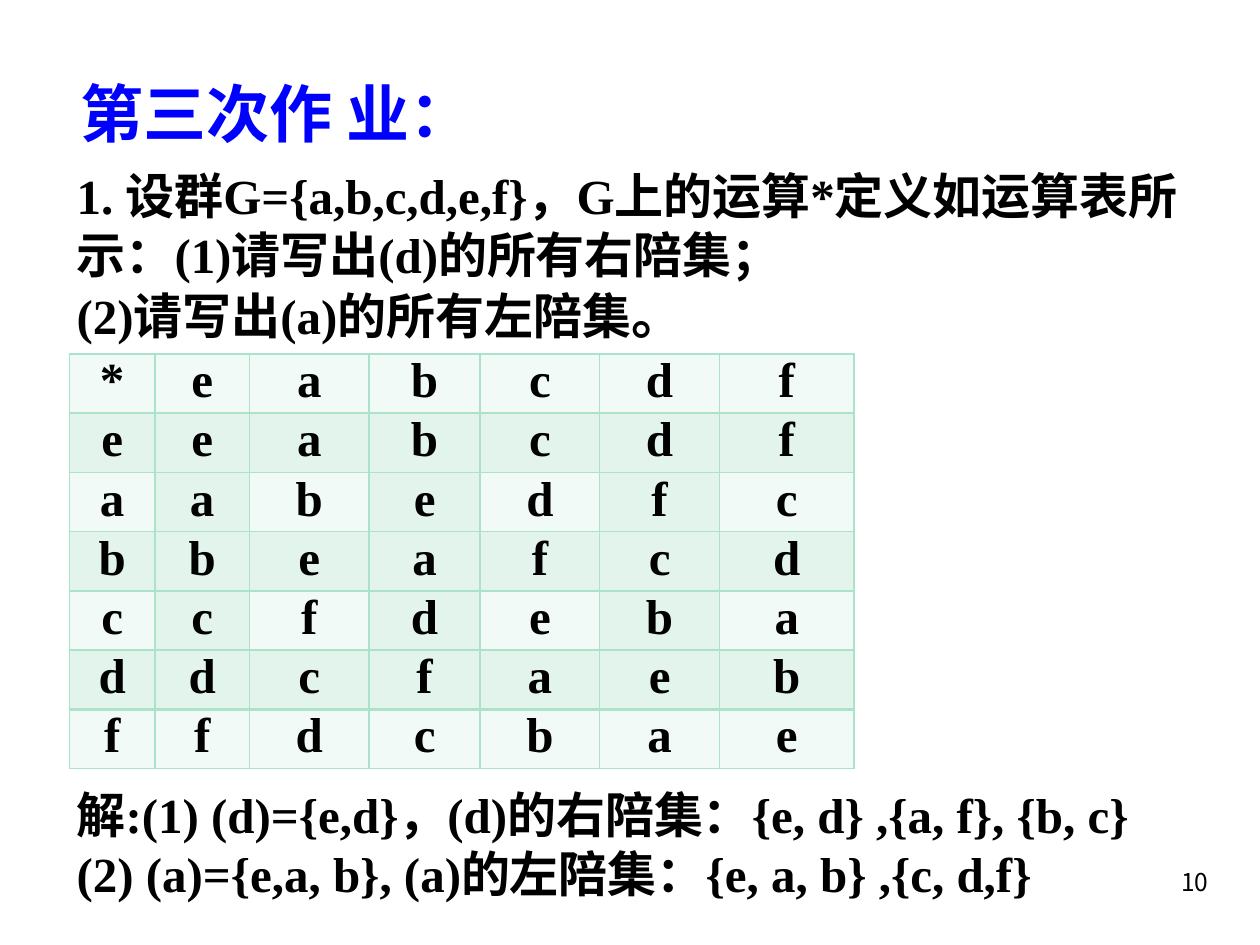
from pptx import Presentation, util as u
from pptx.dml.color import RGBColor
from pptx.enum import text as t
from pptx.oxml import parse_xml
from pptx.oxml.ns import nsdecls

COLORS = {"title": "0000FF", "ink": "000000", "line": "AAE2CA",
          "light": "F1FAF6", "dark": "E2F4EC"}
SERIF, HAN, NUM = "Times New Roman", "Noto Sans CJK SC", "Noto Sans CJK KR"

TITLE = "第三次作 业："
# Each paragraph: space before in points, then runs of (text, size, font)
BODY = [
    (0, [("1. 设群G={a,b,c,d,e,f}，G上的运算*定义如运算表所示："
          "(1)请写出(d)的所有右陪集；", 28, SERIF)]),
    (2, [("(2)请写出(a)的所有左陪集", 28, SERIF), ("。", 30, SERIF)]),
    (251, [("解", 28, HAN),
           (":(1) (d)={e,d}，(d)的右陪集：{e, d} ,{a, f}, {b, c}", 28, SERIF)]),
    (0, [("(2) (a)={e,a, b}, (a)的左陪集：{e, a, b} ,{c, d,f}", 28, SERIF)]),
]
ROWS = ["*eabcdf", "eeabcdf", "aabedfc", "bbeafcd",
        "ccfdeba", "ddcfaeb", "ffdcbae"]
WIDTHS = [0.68, 0.75, 0.95, 0.88, 0.95, 0.95, 1.07]
HIGH = 0.47


def add_run(para, words, size, font, color="ink", bold=True):
    run = para.add_run()
    run.text = words
    run.font.size, run.font.name, run.font.bold = u.Pt(size), font, bold
    run.font.color.rgb = RGBColor.from_string(COLORS[color])
    east = HAN if font == SERIF else font
    run.font._element.append(
        parse_xml(f'<a:ea {nsdecls("a")} typeface="{east}"/>'))


def add_box(slide, *place):
    frame = slide.shapes.add_textbox(*map(u.Inches, place)).text_frame
    frame.word_wrap = True
    return frame


def set_edges(cell, top):
    """Draw all four borders; the top one has its own width in points."""
    props = cell._tc.get_or_add_tcPr()
    for n, (side, wide) in enumerate(zip("LRTB", (1, 1, top, 1))):
        props.insert(n, parse_xml(
            f'<a:ln{side} {nsdecls("a")} w="{u.Pt(wide)}"><a:solidFill>'
            f'<a:srgbClr val="{COLORS["line"]}"/></a:solidFill></a:ln{side}>'))


def add_grid(slide):
    last = len(ROWS) - 1
    grid = slide.shapes.add_table(
        len(ROWS), len(WIDTHS), u.Inches(0.55), u.Inches(2.81),
        u.Inches(sum(WIDTHS)), u.Inches(HIGH * len(ROWS))).table
    grid.first_row = grid.horz_banding = False
    for col, wide in zip(grid.columns, WIDTHS):
        col.width = u.Inches(wide)
    for r, row in enumerate(ROWS):
        grid.rows[r].height = u.Inches(HIGH)
        for c, sign in enumerate(row):
            cell = grid.cell(r, c)
            cell.margin_left = cell.margin_right = u.Inches(0.07)
            cell.margin_top = cell.margin_bottom = 0
            dark = r % 2 or (c % 2 and 0 < r < last)
            cell.fill.solid()
            cell.fill.fore_color.rgb = RGBColor.from_string(
                COLORS["dark" if dark else "light"])
            set_edges(cell, 2 if r == last else 1)
            para = cell.text_frame.paragraphs[0]
            para.alignment = t.PP_ALIGN.CENTER
            add_run(para, sign, 28, SERIF)


def main():
    deck = Presentation()
    deck.slide_width, deck.slide_height = u.Inches(10), u.Inches(7.5)
    slide = deck.slides.add_slide(deck.slide_layouts[5])

    title = slide.shapes.title
    title.left, title.top, title.width, title.height = map(
        u.Inches, (0.54, 0.52, 8.77, 0.74))
    title.text_frame.vertical_anchor = t.MSO_ANCHOR.MIDDLE
    head = title.text_frame.paragraphs[0]
    head.alignment = t.PP_ALIGN.LEFT
    add_run(head, TITLE, 36, HAN, "title")

    body = add_box(slide, 0.51, 1.26, 9.29, 5.94)
    for n, (gap, runs) in enumerate(BODY):
        para = body.add_paragraph() if n else body.paragraphs[0]
        para.line_spacing, para.space_before = u.Pt(33.7), u.Pt(gap)
        for run in runs:
            add_run(para, *run)

    add_grid(slide)

    page = add_box(slide, 7.61, 6.83, 2.08, 0.5).paragraphs[0]
    page.alignment = t.PP_ALIGN.RIGHT
    add_run(page, "10", 14, NUM, bold=False)
    deck.save("out.pptx")


if __name__ == "__main__":
    main()
